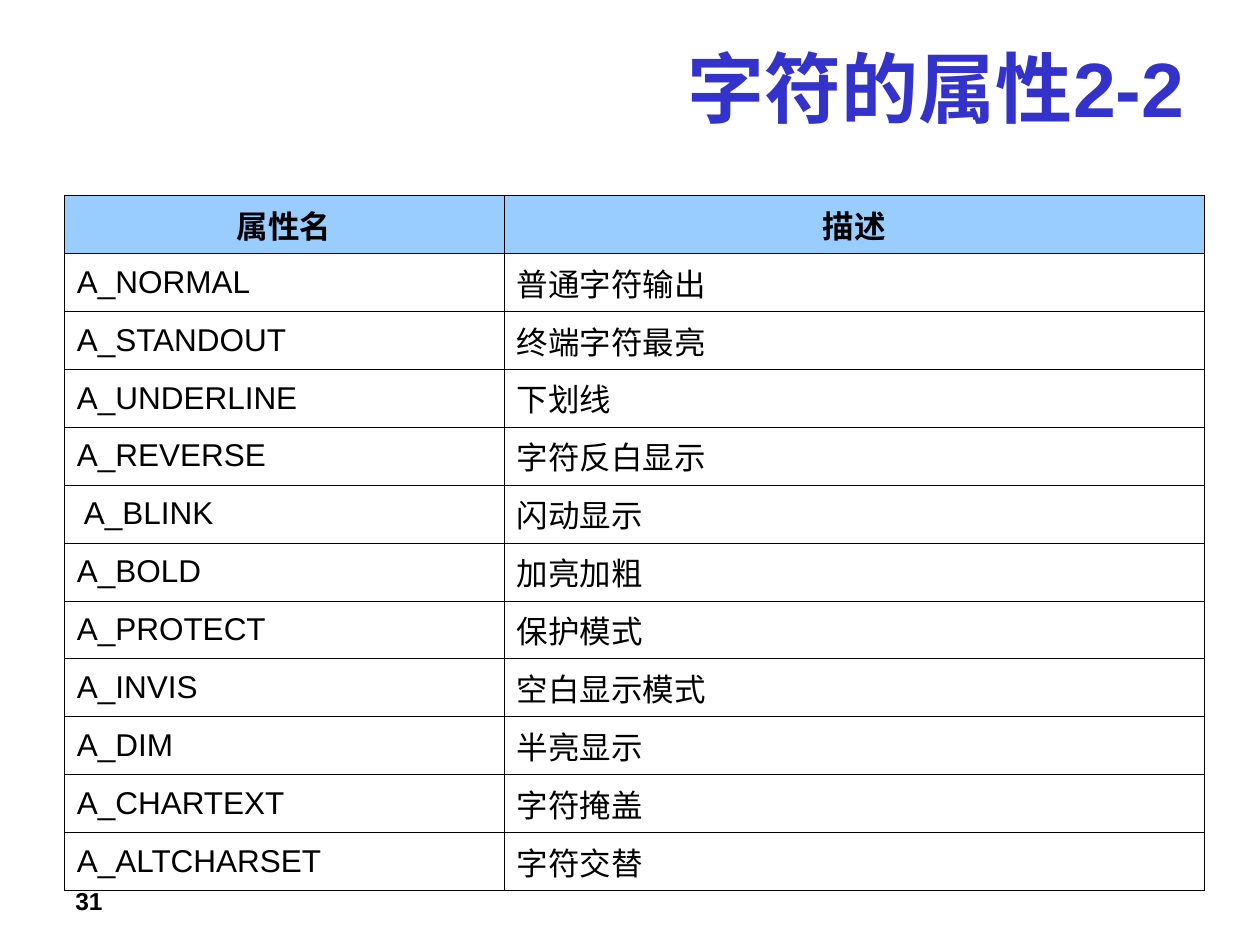
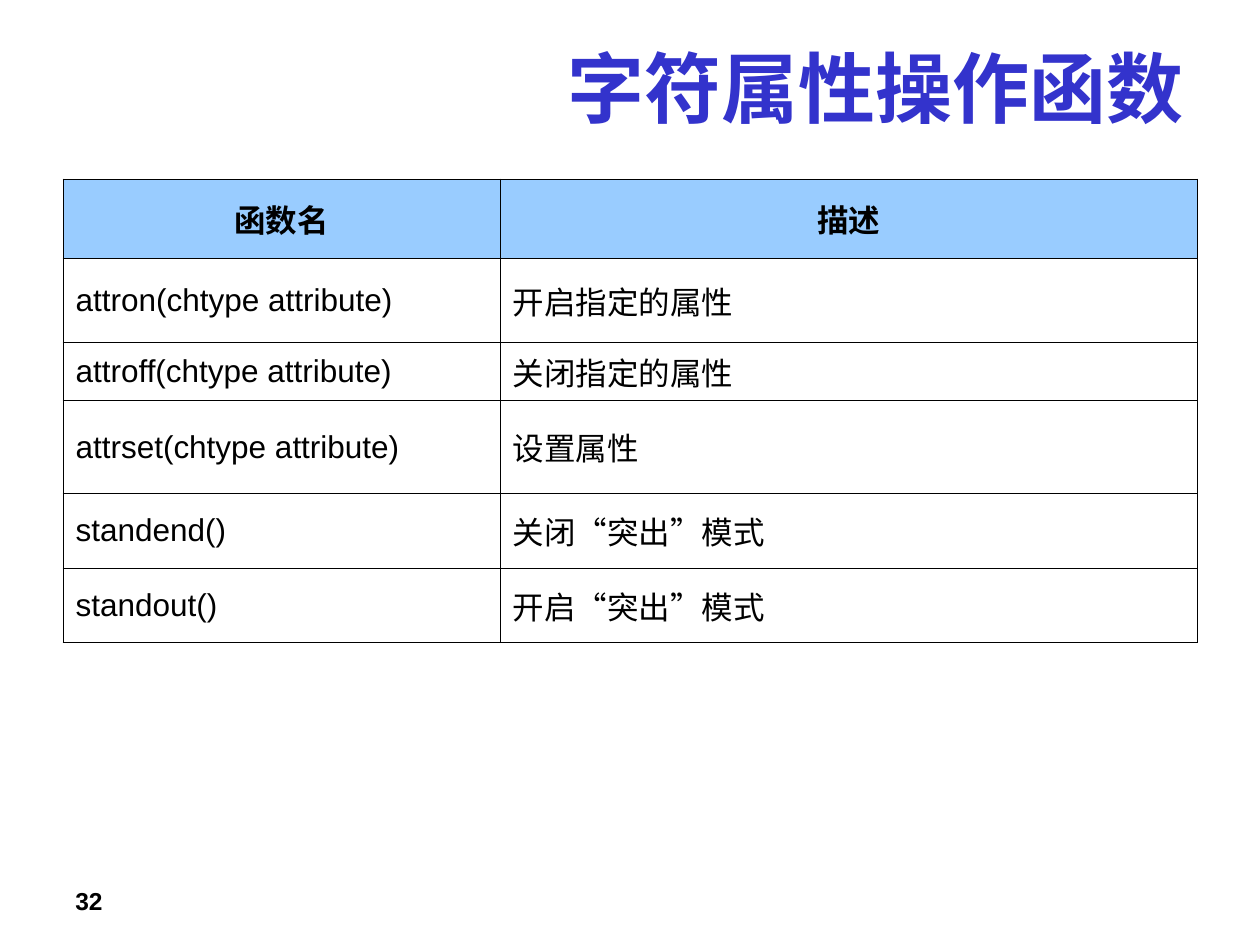
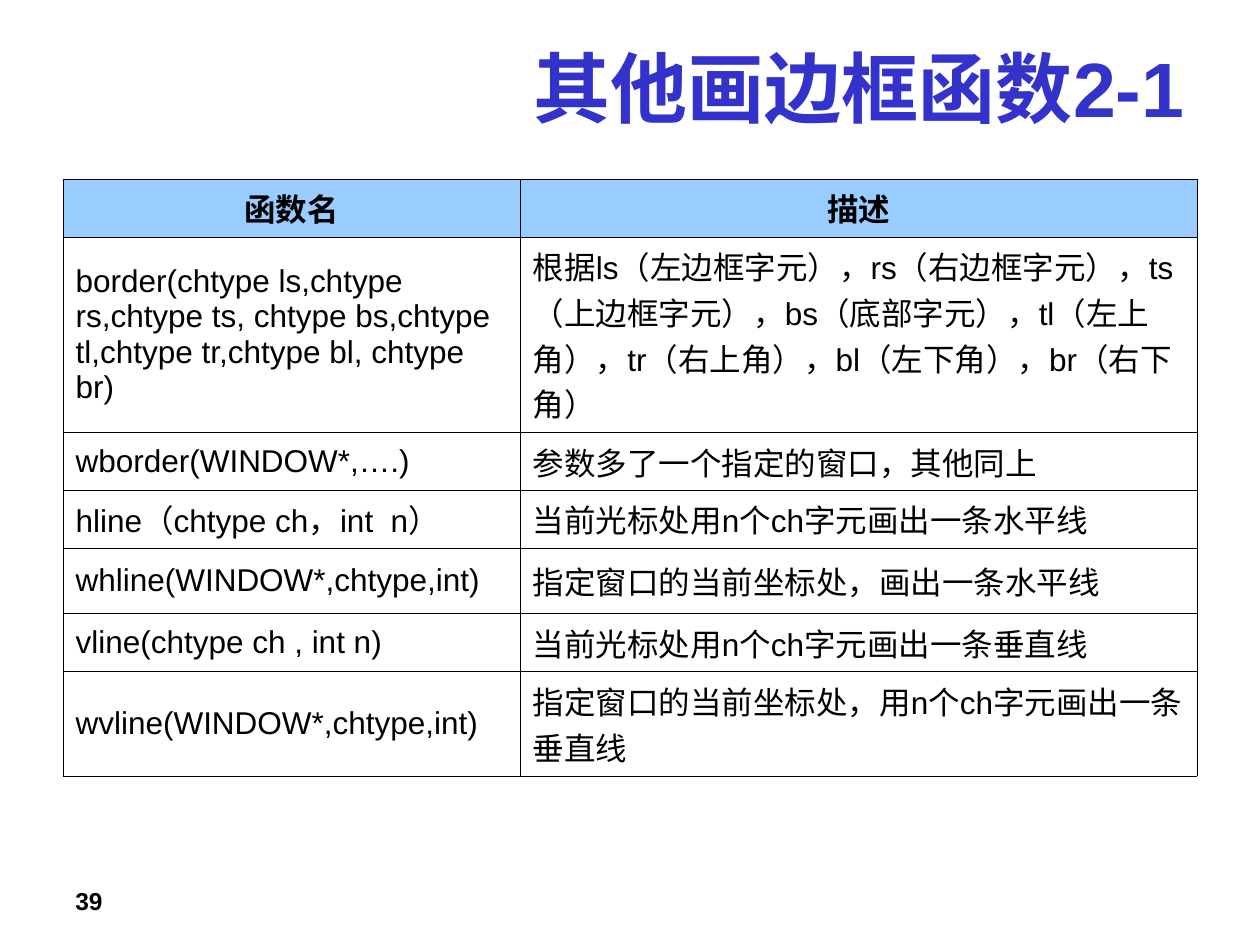
from lxml import etree
from pptx import Presentation
from pptx.dml.color import RGBColor
from pptx.enum.text import MSO_ANCHOR as Anchor, MSO_AUTO_SIZE as AutoSize, PP_ALIGN as Align
from pptx.oxml.ns import qn
from pptx.util import Inches, Pt

TITLE_BLUE = RGBColor(0x33, 0x33, 0xCC)
HEADER_BLUE = RGBColor(0x99, 0xCC, 0xFF)
BLACK = RGBColor(0, 0, 0)
FONT = "Arial"
TITLE_ONLY = 5
BORDER_WIDTH = Pt(0.45)
LINE_ROW = 0.46

ATTRIBUTES = [
    ("属性名", "描述"),
    ("A_NORMAL", "普通字符输出"),
    ("A_STANDOUT", "终端字符最亮"),
    ("A_UNDERLINE", "下划线"),
    ("A_REVERSE", "字符反白显示"),
    (" A_BLINK", "闪动显示"),
    ("A_BOLD", "加亮加粗"),
    ("A_PROTECT", "保护模式"),
    ("A_INVIS", "空白显示模式"),
    ("A_DIM", "半亮显示"),
    ("A_CHARTEXT", "字符掩盖"),
    ("A_ALTCHARSET", "字符交替"),
]

ATTRIBUTE_FUNCTIONS = [
    ("函数名", "描述"),
    ("attron(chtype attribute)", "开启指定的属性"),
    ("attroff(chtype attribute)", "关闭指定的属性"),
    ("attrset(chtype attribute)", "设置属性"),
    ("standend()", "关闭“突出”模式"),
    ("standout()", "开启“突出”模式"),
]

BORDER_FUNCTIONS = [
    ("函数名", "描述"),
    ("border(chtype ls,chtype rs,chtype ts, chtype bs,chtype tl,chtype tr,chtype bl, chtype br)",
     "根据ls（左边框字元），rs（右边框字元），ts（上边框字元），bs（底部字元），"
     "tl（左上角），tr（右上角），bl（左下角），br（右下角）"),
    ("wborder(WINDOW*,….)", "参数多了一个指定的窗口，其他同上"),
    ("hline（chtype ch，int  n）", "当前光标处用n个ch字元画出一条水平线"),
    ("whline(WINDOW*,chtype,int)", "指定窗口的当前坐标处，画出一条水平线"),
    ("vline(chtype ch , int n)", "当前光标处用n个ch字元画出一条垂直线"),
    ("wvline(WINDOW*,chtype,int)", "指定窗口的当前坐标处，用n个ch字元画出一条垂直线"),
]


def write(frame, text, size=18, color=BLACK, bold=False, align=Align.LEFT, before=0):
    frame.word_wrap = True
    paragraph = frame.paragraphs[0]
    paragraph.alignment = align
    paragraph.space_before = Pt(before)
    run = paragraph.add_run()
    run.text = text
    run.font.name = FONT
    run.font.size = Pt(size)
    run.font.bold = bold
    run.font.color.rgb = color


def add_titled_slide(prs, title, number):
    slide = prs.slides.add_slide(prs.slide_layouts[TITLE_ONLY])
    heading = slide.shapes.title
    heading.left, heading.top = Inches(0.5), Inches(0.25)
    heading.width, heading.height = Inches(9), Inches(0.87)
    heading.text_frame.auto_size = AutoSize.NONE
    heading.text_frame.vertical_anchor = Anchor.MIDDLE
    write(heading.text_frame, title, size=44, color=TITLE_BLUE, bold=True, align=Align.RIGHT)
    page = slide.shapes.add_textbox(Inches(0.5), Inches(6.98), Inches(2.33), Inches(0.24))
    write(page.text_frame, str(number), size=14, bold=True)
    return slide


def set_borders(cell):
    properties = cell._tc.get_or_add_tcPr()
    for side in ("lnL", "lnR", "lnT", "lnB"):
        line = etree.SubElement(properties, qn(f"a:{side}"), w=str(int(BORDER_WIDTH)))
        fill = etree.SubElement(line, qn("a:solidFill"))
        etree.SubElement(fill, qn("a:srgbClr"), val=str(BLACK))


def format_cell(cell, text, is_header):
    cell.vertical_anchor = Anchor.MIDDLE
    set_borders(cell)
    if is_header:
        cell.fill.solid()
        cell.fill.fore_color.rgb = HEADER_BLUE
    else:
        cell.fill.background()
    write(cell.text_frame, text, bold=is_header, before=4.5,
          align=Align.CENTER if is_header else Align.LEFT)


def add_reference_table(slide, entries, widths, heights, left=0.5, top=1.42):
    table = slide.shapes.add_table(
        len(entries), len(widths), Inches(left), Inches(top),
        Inches(sum(widths)), Inches(sum(heights))).table
    table.first_row = table.horz_banding = False
    for column, width in zip(table.columns, widths):
        column.width = Inches(width)
    for index, (row, height, entry) in enumerate(zip(table.rows, heights, entries)):
        row.height = Inches(height)
        for cell, text in zip(row.cells, entry):
            format_cell(cell, text, is_header=index == 0)


def main():
    prs = Presentation()
    prs.slide_width, prs.slide_height = Inches(10), Inches(7.5)

    attributes = add_titled_slide(prs, "字符的属性2-2", 31)
    add_reference_table(attributes, ATTRIBUTES, (3.49, 5.56),
                        [LINE_ROW] * len(ATTRIBUTES), left=0.51, top=1.55)

    attribute_functions = add_titled_slide(prs, "字符属性操作函数", 32)
    add_reference_table(attribute_functions, ATTRIBUTE_FUNCTIONS, (3.47, 5.53),
                        (0.63, 0.67, LINE_ROW, 0.74, 0.59, 0.59))

    border_functions = add_titled_slide(prs, "其他画边框函数2-1", 39)
    add_reference_table(border_functions, BORDER_FUNCTIONS, (3.63, 5.37),
                        (LINE_ROW, 1.55, LINE_ROW, LINE_ROW, 0.52, LINE_ROW, 0.83))

    prs.save("out.pptx")


if __name__ == "__main__":
    main()
